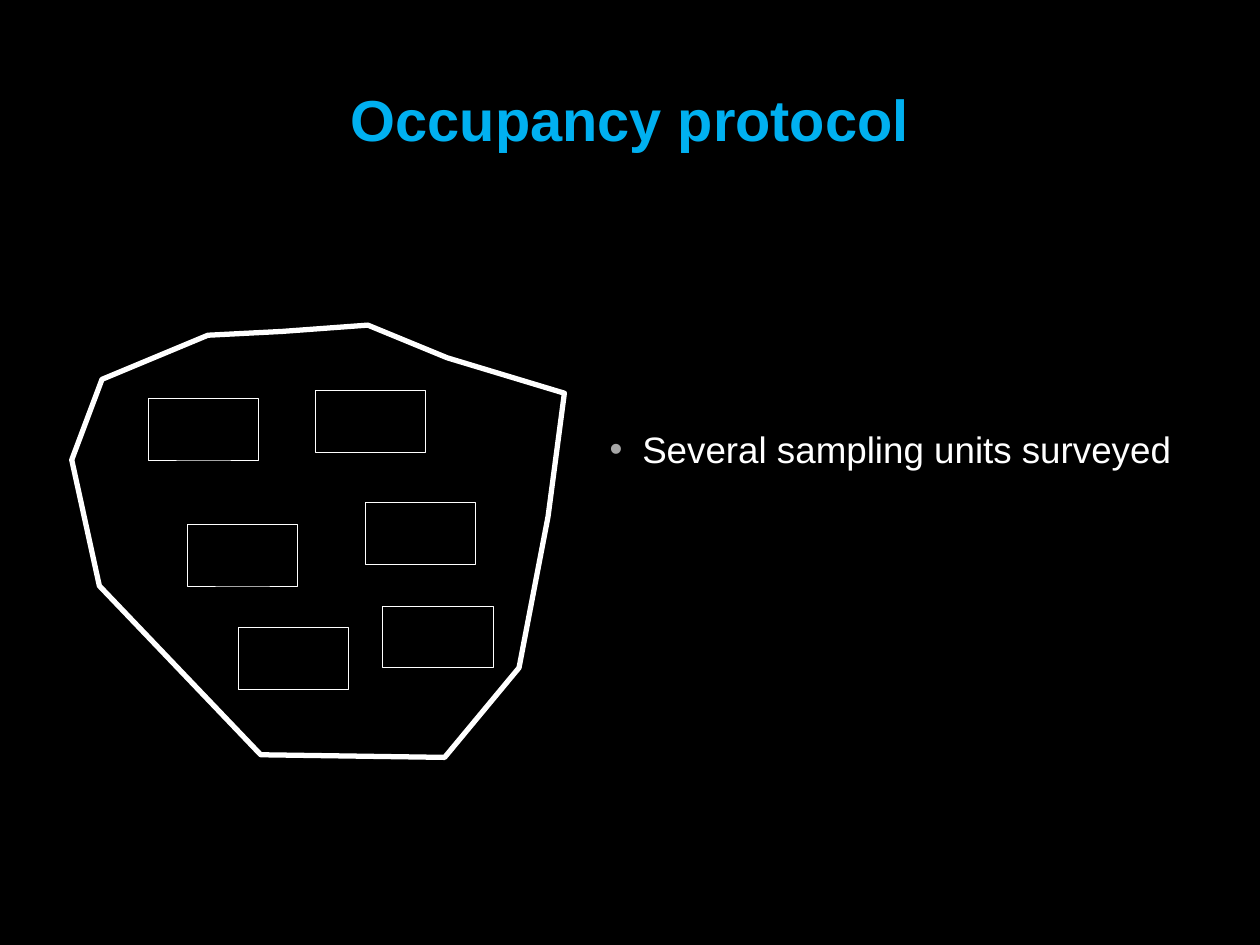
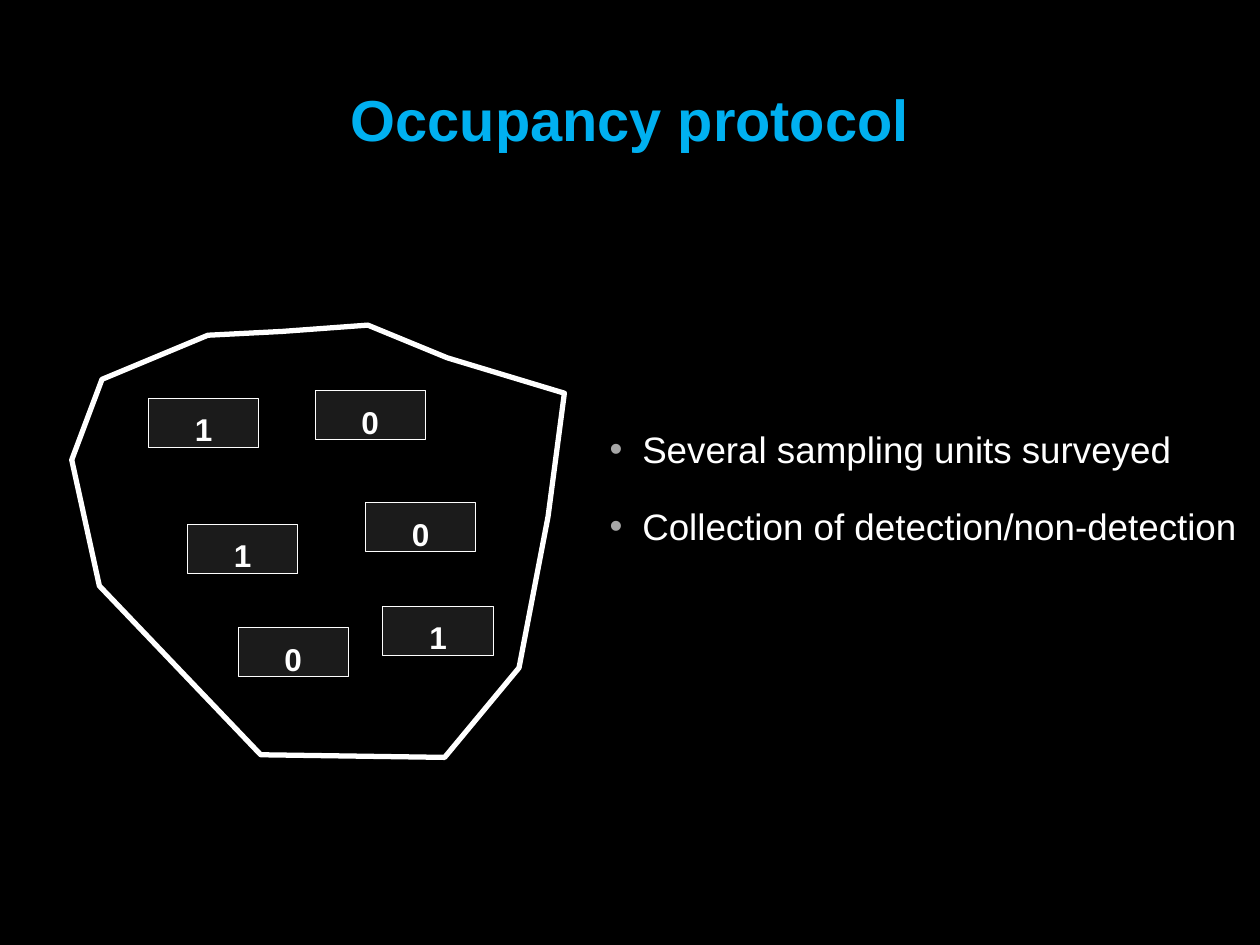
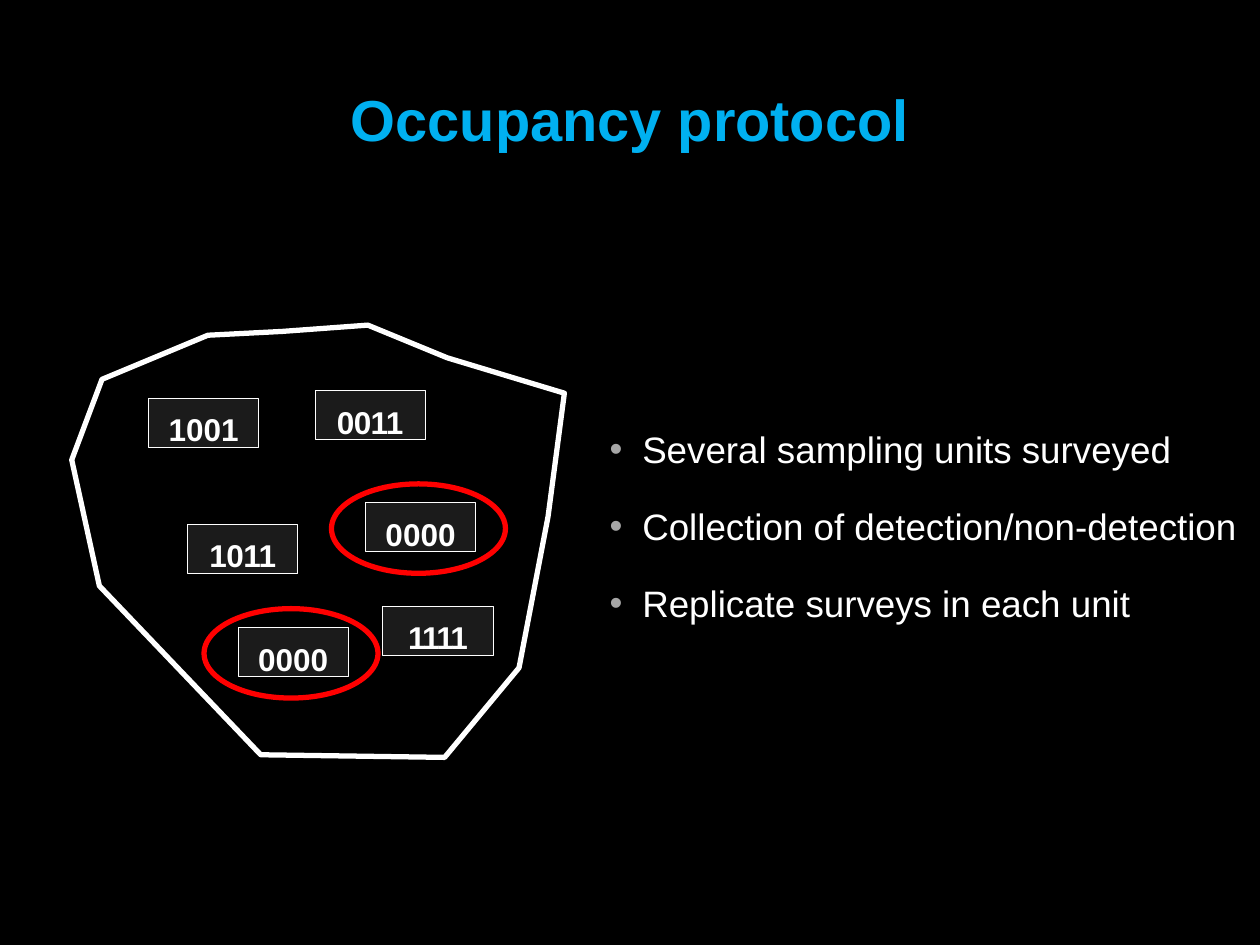
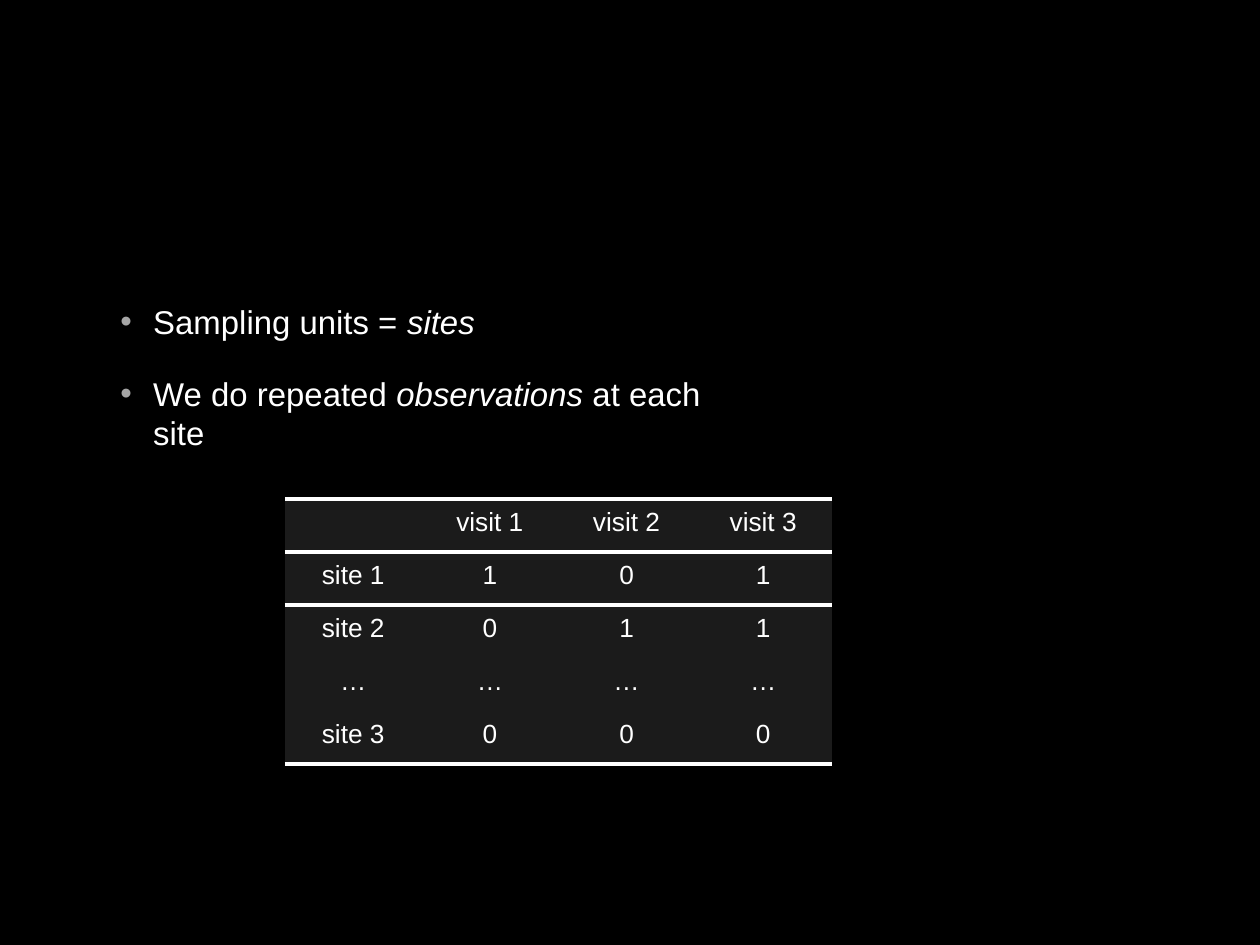
from dataclasses import dataclass

from lxml import etree
from pptx import Presentation
from pptx.dml.color import RGBColor
from pptx.enum.shapes import MSO_SHAPE
from pptx.enum.text import MSO_ANCHOR, PP_ALIGN
from pptx.oxml.ns import qn
from pptx.util import Pt

RECTANGLE, OVAL = MSO_SHAPE.RECTANGLE, MSO_SHAPE.OVAL
TOP, MIDDLE = MSO_ANCHOR.TOP, MSO_ANCHOR.MIDDLE
CENTER = PP_ALIGN.CENTER
TITLE_ONLY, BLANK = 5, 6


@dataclass(frozen=True)
class Theme:
    font: str = "Arial"
    background: str = "000000"
    text: str = "FFFFFF"
    title: str = "00B0F0"
    panel: str = "1B1B1B"
    bullet: str = "A6A6A6"
    highlight: str = "FF0000"
    title_size: float = 33
    bullet_size: float = 21
    body_size: float = 18.8
    unit_size: float = 18
    table_size: float = 15
    thin: float = 0.5
    thick: float = 3


@dataclass(frozen=True)
class Box:
    left: float
    top: float
    width: float
    height: float

    def inner(self, left, top, width, height):
        return Box(self.left + left, self.top + top, width, height)

    def lengths(self):
        return [Pt(value) for value in (self.left, self.top, self.width, self.height)]


THEME = Theme()
SLIDE = Box(0, 0, 720, 540)
TITLE_BOX = Box(0, 46.8, 720, 41)
STUDY_AREA = Box(41, 185.8, 282, 247)
BULLET_AREA = Box(347.8, 242.6, 362, 114)
BULLET_PITCH = 43.9

# Corners of the study area and of its sampling units, from the top left of the area
AREA_CORNERS = [(77.8, 5.8), (17.3, 31), (0, 77), (15.8, 149), (108, 245.5), (213.1, 247),
                (255.6, 195.8), (272.2, 109.4), (281.5, 38.9), (214.6, 18.7), (169.2, 0),
                (120.2, 3.6)]
UNIT_CORNERS = [(43.9, 41.8), (139, 37.4), (66.2, 113.8), (167.8, 101.5), (95, 172.8),
                (177.8, 160.6)]
UNIT_WIDTH, EMPTY_UNIT_HEIGHT, UNIT_HEIGHT = 63, 35.3, 28

PROTOCOL_STEPS = [("Several sampling units surveyed", 323),
                  ("Collection of detection/non-detection", 362),
                  ("Replicate surveys in each unit", 300)]
SINGLE_VISIT = ["1", "0", "1", "0", "0", "1"]
HISTORIES = ["1001", "0011", "1011", "0000", "0000", "1111"]
LETTER_SPACING = {"0011": -0.3, "1011": -0.3, "1111": -1}
NEVER_DETECTED = "0000"

SITE_POINTS = [[("Sampling units = ", False), ("sites", True)],
               [("We do repeated ", False), ("observations ", True), ("at each site", False)]]
VISITS = [["", "visit 1", "visit 2", "visit 3"],
          ["site 1", "1", "0", "1"],
          ["site 2", "0", "1", "1"],
          ["…", "…", "…", "…"],
          ["site 3", "0", "0", "0"]]


def color(value):
    return RGBColor.from_string(value)


def add_run(paragraph, text, size, value=THEME.text, bold=False, italic=False, spacing=0):
    run = paragraph.add_run()
    run.text = text
    font = run.font
    font.name, font.size, font.bold, font.italic = THEME.font, Pt(size), bold, italic
    font.color.rgb = color(value)
    if spacing:
        run._r.get_or_add_rPr().set("spc", str(round(spacing * 100)))


def prepare_frame(frame, top_inset, anchor=TOP):
    frame.word_wrap = True
    frame.vertical_anchor = anchor
    frame.margin_left = frame.margin_right = frame.margin_bottom = 0
    frame.margin_top = Pt(top_inset)


def style_shape(shape, line_width, line=THEME.text, fill=None):
    shape.shadow.inherit = False
    if fill:
        shape.fill.solid()
        shape.fill.fore_color.rgb = color(fill)
    else:
        shape.fill.background()
    shape.line.color.rgb = color(line)
    shape.line.width = Pt(line_width)


def add_bullet(paragraph):
    properties = paragraph._p.get_or_add_pPr()
    properties.set("marL", str(Pt(19.2)))
    properties.set("indent", str(-Pt(18.7)))
    bullet_color = etree.SubElement(properties, qn("a:buClr"))
    etree.SubElement(bullet_color, qn("a:srgbClr"), val=THEME.bullet)
    etree.SubElement(properties, qn("a:buFont"), typeface=THEME.font)
    etree.SubElement(properties, qn("a:buChar"), char="•")


def add_bullets(slide, box, points, size, gap=0):
    """Each point is a list of (text, italic) runs."""
    frame = slide.shapes.add_textbox(*box.lengths()).text_frame
    prepare_frame(frame, 1.5)
    for index, point in enumerate(points):
        paragraph = frame.add_paragraph() if index else frame.paragraphs[0]
        add_bullet(paragraph)
        if index:
            paragraph.space_before = Pt(gap)
        for text, italic in point:
            add_run(paragraph, text, size, italic=italic)


def add_title(slide, box, text):
    title = slide.shapes.title
    title.left, title.top, title.width, title.height = box.lengths()
    prepare_frame(title.text_frame, 1, MIDDLE)
    paragraph = title.text_frame.paragraphs[0]
    paragraph.alignment = CENTER
    add_run(paragraph, text, THEME.title_size, THEME.title, bold=True)


def add_study_area(slide, box, labels):
    # Outline of the area
    corners = [(Pt(x), Pt(y)) for x, y in AREA_CORNERS]
    builder = slide.shapes.build_freeform(*corners[0])
    builder.add_line_segments(corners[1:], close=True)
    style_shape(builder.convert_to_shape(Pt(box.left), Pt(box.top)), THEME.thick)

    # Sampling units, empty until they are surveyed
    height = UNIT_HEIGHT if labels else EMPTY_UNIT_HEIGHT
    for index, (x, y) in enumerate(UNIT_CORNERS):
        unit_box = box.inner(x, y, UNIT_WIDTH, height)
        unit = slide.shapes.add_shape(RECTANGLE, *unit_box.lengths())
        style_shape(unit, THEME.thin, fill=THEME.panel if labels else None)
        if labels:
            label = labels[index]
            prepare_frame(unit.text_frame, 7)
            paragraph = unit.text_frame.paragraphs[0]
            paragraph.alignment = CENTER
            add_run(paragraph, label, THEME.unit_size, bold=True,
                    spacing=LETTER_SPACING.get(label, 0))

    # Rings around units without any detection
    for (x, y), label in zip(UNIT_CORNERS, labels):
        if label == NEVER_DETECTED:
            ring_box = box.inner(x - 19.4, y - 10.8, 99.4, 51.1)
            ring = slide.shapes.add_shape(OVAL, *ring_box.lengths())
            style_shape(ring, THEME.thick, THEME.highlight)


def set_cell_rule(cell, side):
    properties = cell._tc.get_or_add_tcPr()
    rule = etree.Element(qn(f"a:{side}"), w=str(Pt(THEME.thick)))
    fill = etree.SubElement(rule, qn("a:solidFill"))
    etree.SubElement(fill, qn("a:srgbClr"), val=THEME.text)
    # Rules come before the fill
    properties.insert(len(properties) - 1, rule)


def add_visit_table(slide, box, rows):
    graphic = slide.shapes.add_table(len(rows), len(rows[0]), *box.lengths())
    table = graphic.table
    table.first_row = table.horz_banding = False
    graphic._element.find(f".//{qn('a:tableStyleId')}").text = (
        "{2D5ABB26-0587-4C30-8999-92F81FD0307C}")  # no style, no grid
    for column in table.columns:
        column.width = Pt(box.width / len(rows[0]))
    for row_index, row in enumerate(rows):
        table.rows[row_index].height = Pt(box.height / len(rows))
        for column_index, text in enumerate(row):
            cell = table.cell(row_index, column_index)
            cell.margin_left = cell.margin_right = cell.margin_bottom = 0
            cell.margin_top = Pt(5)
            cell.fill.solid()
            cell.fill.fore_color.rgb = color(THEME.panel)
            if row_index < 2:
                set_cell_rule(cell, "lnT")
            if row_index in (0, 1, len(rows) - 1):
                set_cell_rule(cell, "lnB")
            paragraph = cell.text_frame.paragraphs[0]
            paragraph.alignment = CENTER
            if text:
                add_run(paragraph, text, THEME.table_size)


def add_protocol_slide(presentation, step_count, labels):
    slide = presentation.slides.add_slide(presentation.slide_layouts[TITLE_ONLY])
    add_title(slide, TITLE_BOX, "Occupancy protocol")
    add_study_area(slide, STUDY_AREA, labels)
    for index, (text, width) in enumerate(PROTOCOL_STEPS[:step_count]):
        step_box = BULLET_AREA.inner(0, index * BULLET_PITCH, width, 26)
        add_bullets(slide, step_box, [[(text, False)]], THEME.bullet_size)


def add_sites_slide(presentation):
    slide = presentation.slides.add_slide(presentation.slide_layouts[BLANK])
    add_bullets(slide, Box(68.4, 170.6, 366, 65.5), SITE_POINTS, THEME.body_size, gap=18.7)
    add_visit_table(slide, Box(162.8, 285.2, 312.4, 151.4), VISITS)


def main():
    presentation = Presentation()
    presentation.slide_width, presentation.slide_height = SLIDE.lengths()[2:]
    background = presentation.slide_master.background.fill
    background.solid()
    background.fore_color.rgb = color(THEME.background)

    for step_count, labels in enumerate([[], SINGLE_VISIT, HISTORIES], start=1):
        add_protocol_slide(presentation, step_count, labels)
    add_sites_slide(presentation)
    presentation.save("out.pptx")


if __name__ == "__main__":
    main()
